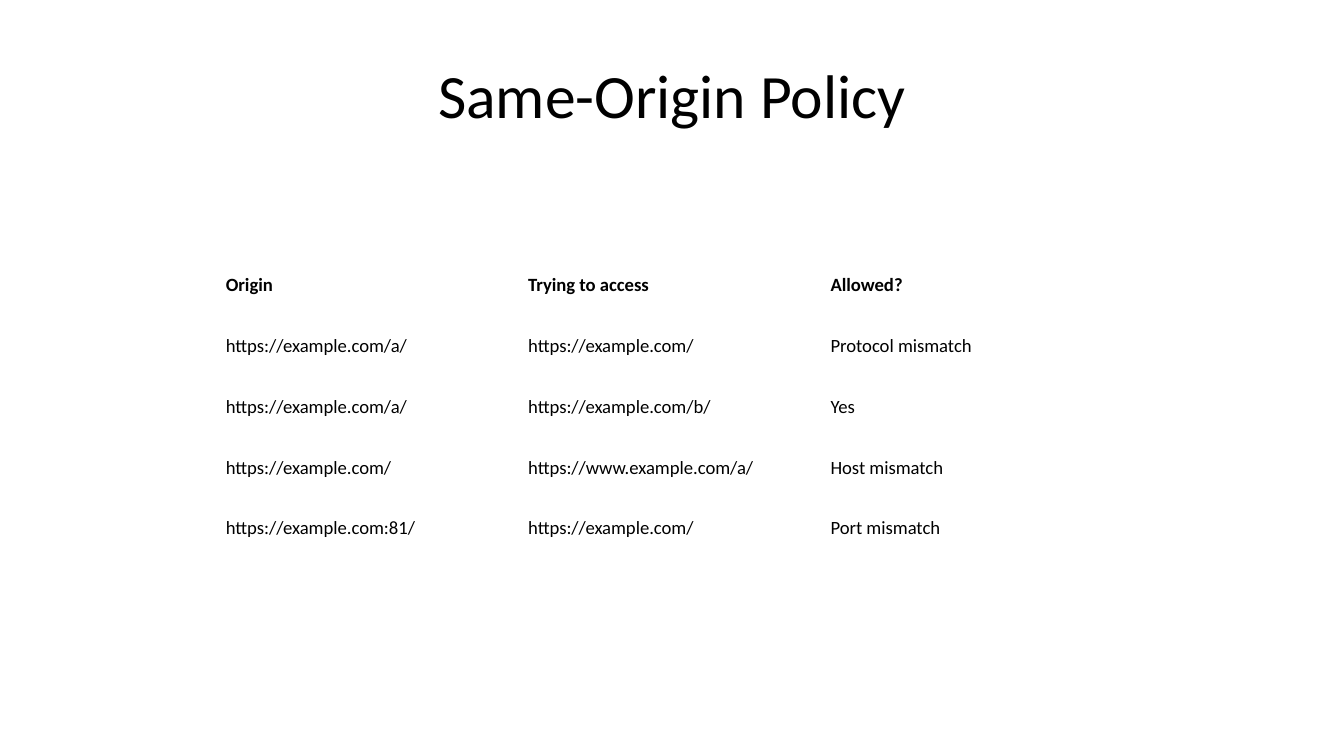
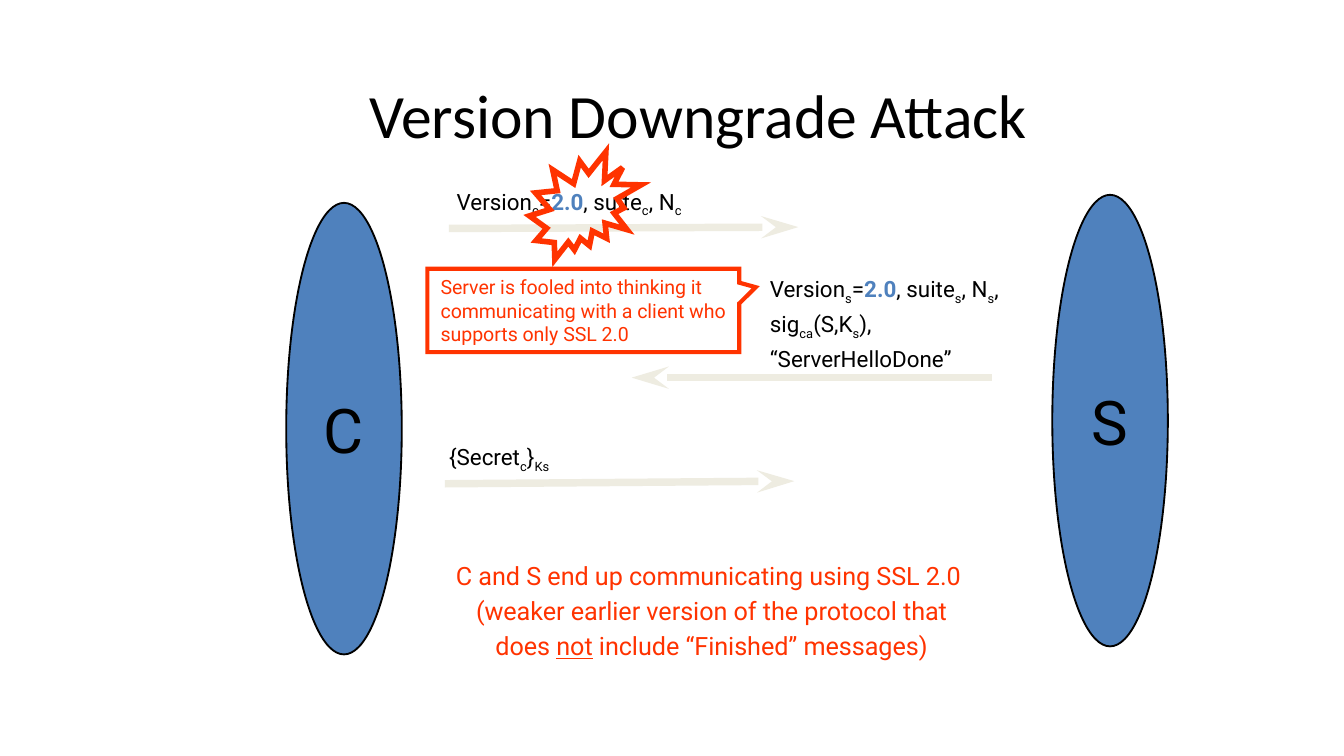
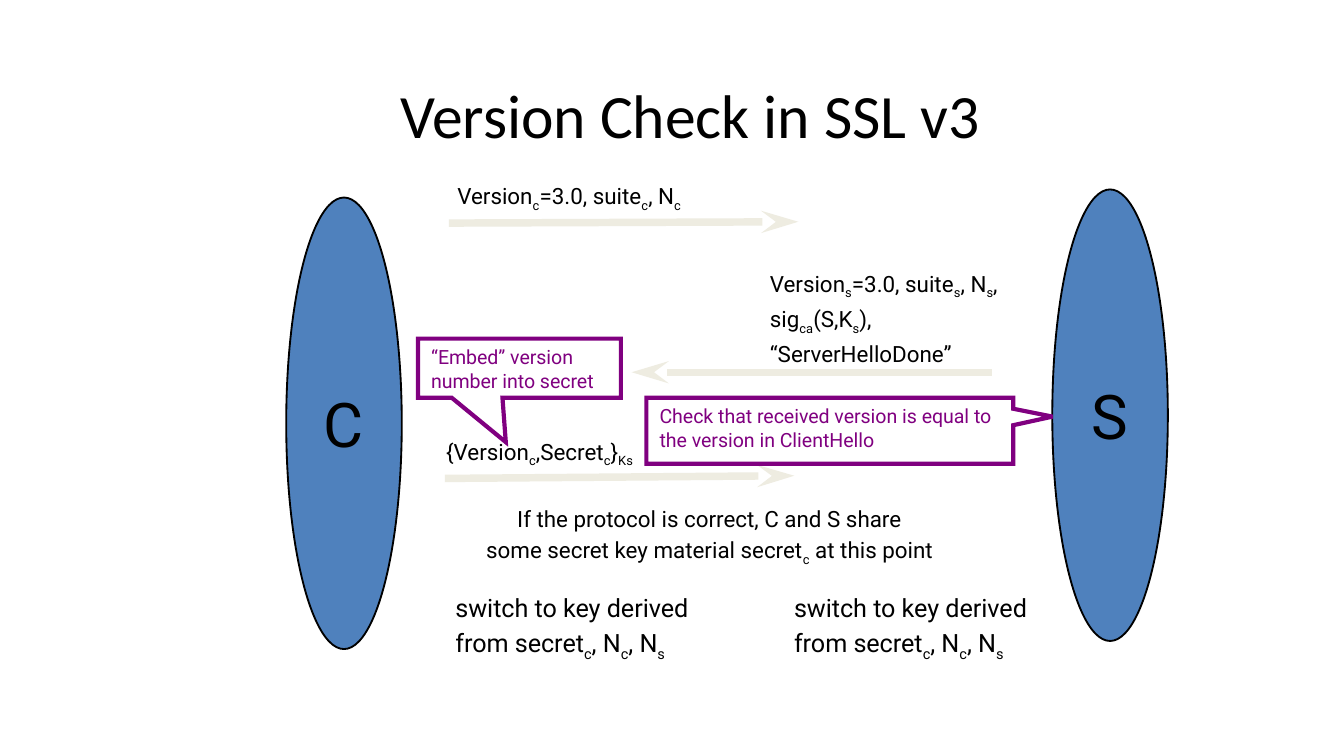
import pptx
import pptx.dml.color
import pptx.enum.shapes
import pptx.enum.text
import pptx.oxml
import pptx.oxml.ns
import pptx.util

Inches = pptx.util.Inches
Pt = pptx.util.Pt
SHAPE = pptx.enum.shapes.MSO_SHAPE
ALIGN = pptx.enum.text.PP_ALIGN
ANCHOR = pptx.enum.text.MSO_ANCHOR
AUTO_SIZE = pptx.enum.text.MSO_AUTO_SIZE

COLORS = {
    "text": "000000",
    "party": "4F81BD",
    "arrow": "EEECE1",
    "attack": "FF3300",
    "check": "800080",
    "border": "FFFFFF",
}
TITLE_FONT = "Calibri"
DIAGRAM_FONT = "Roboto"
# Marks that switch a run style on and off
MARKS = {"~": "subscript", "*": "strong", "^": "underline"}

ORIGIN_ROWS = [
    ["Origin", "Trying to access", "Allowed?"],
    ["https://example.com/a/", "https://example.com/", "Protocol mismatch"],
    ["https://example.com/a/", "https://example.com/b/", "Yes"],
    ["https://example.com/", "https://www.example.com/a/", "Host mismatch"],
    ["https://example.com:81/", "https://example.com/", "Port mismatch"],
]


def rgb(name):
    return pptx.dml.color.RGBColor.from_string(COLORS[name])


def drawing_element(markup):
    """Parse one element of the drawing namespace, given as 'tag attributes'."""
    return pptx.oxml.parse_xml(f'<a:{markup} {pptx.oxml.ns.nsdecls("a")}/>')


def split_runs(text):
    """Yield (text, active styles) for a line with MARKS in it."""
    active, piece = set(), ""
    for character in text:
        if character in MARKS:
            if piece:
                yield piece, set(active)
            active ^= {MARKS[character]}
            piece = ""
        else:
            piece += character
    if piece:
        yield piece, active


def write_text(frame, text, size=12, font=DIAGRAM_FONT, color="text", bold=False,
               align=ALIGN.LEFT, anchor=ANCHOR.TOP, wrap=True):
    frame.word_wrap = wrap
    frame.vertical_anchor = anchor
    for index, line in enumerate(text.split("\n")):
        paragraph = frame.add_paragraph() if index else frame.paragraphs[0]
        paragraph.alignment = align
        if index:
            paragraph.space_before = Pt(round(size * 0.2, 1))
        for piece, styles in split_runs(line):
            run = paragraph.add_run()
            run.text = piece
            run.font.name = font
            run.font.size = Pt(size)
            run.font.bold = bold or "strong" in styles
            run.font.underline = "underline" in styles
            run.font.color.rgb = rgb("party" if "strong" in styles else color)
            if "subscript" in styles:
                run._r.get_or_add_rPr().set("baseline", "-25000")


def add_titled_slide(presentation, title, left, top, width):
    slide = presentation.slides.add_slide(presentation.slide_layouts[5])
    shape = slide.shapes.title
    shape.left, shape.top = Inches(left), Inches(top)
    shape.width, shape.height = Inches(width), Inches(0.94)
    write_text(shape.text_frame, title, size=33, font=TITLE_FONT,
               align=ALIGN.CENTER, anchor=ANCHOR.MIDDLE)
    return slide


def add_label(slide, text, left, top, width, height, **text_format):
    box = slide.shapes.add_textbox(Inches(left), Inches(top), Inches(width), Inches(height))
    write_text(box.text_frame, text, wrap=False, **text_format)
    box.text_frame.auto_size = AUTO_SIZE.SHAPE_TO_FIT_TEXT


def add_outlined_shape(slide, kind, left, top, width, height, line, line_width, fill=None):
    shape = slide.shapes.add_shape(kind, Inches(left), Inches(top), Inches(width), Inches(height))
    shape.shadow.inherit = False
    if fill:
        shape.fill.solid()
        shape.fill.fore_color.rgb = rgb(fill)
    else:
        shape.fill.background()
    shape.line.color.rgb = rgb(line)
    shape.line.width = Pt(line_width)
    shape.line._get_or_add_ln().append(drawing_element('miter lim="800000"'))
    return shape


def add_party(slide, name, left, top):
    ellipse = add_outlined_shape(slide, SHAPE.OVAL, left, top, 0.86, 3.36, "text", 1, "party")
    write_text(ellipse.text_frame, name, size=33, align=ALIGN.CENTER,
               anchor=ANCHOR.MIDDLE, wrap=False)


def add_callout(slide, text, left, top, width, height, pointer, color):
    callout = add_outlined_shape(slide, SHAPE.RECTANGULAR_CALLOUT, left, top, width, height,
                                 color, 2.25)
    for index, value in enumerate(pointer):
        callout.adjustments[index] = value
    callout.text_frame.margin_right = Inches(0.08)
    write_text(callout.text_frame, text, size=10.5, color=color)


def add_arrow(slide, start_x, start_y, end_x, end_y):
    arrow = slide.shapes.add_connector(
        pptx.enum.shapes.MSO_CONNECTOR.STRAIGHT,
        Inches(start_x), Inches(start_y), Inches(end_x), Inches(end_y))
    arrow.line.color.rgb = rgb("arrow")
    arrow.line.width = Pt(4)
    arrow.line._get_or_add_ln().append(drawing_element('tailEnd type="stealth" len="lg"'))
    arrow._element.spPr.append(drawing_element("effectLst"))


def add_exchange(slide, left, top, version, secret, secret_width):
    """Client, server and the three messages between them."""
    add_party(slide, "C", left, top + 0.06)
    add_arrow(slide, left + 1.21, top + 0.25, left + 3.81, top + 0.24)
    add_arrow(slide, left + 5.25, top + 1.36, left + 2.57, top + 1.36)
    add_label(slide, f"Version~s~={version}, suite~s~, N~s~,\nsig~ca~(S,K~s~),\n“ServerHelloDone”",
              left + 3.5, top + 0.55, 2, 0.79)
    add_party(slide, "S", left + 5.7, top)
    add_label(slide, f"Version~c~={version}, suite~c~, N~c~",
              left + 1.13, top - 0.1, 1.95, 0.3, align=ALIGN.CENTER)
    add_arrow(slide, left + 1.18, top + 2.15, left + 3.78, top + 2.13)
    add_label(slide, secret, left + 1.07, top + 1.8, secret_width, 0.3, align=ALIGN.CENTER)


def format_cell(cell, text, bold):
    cell.margin_left = cell.margin_right = Inches(0.06)
    cell.margin_top = cell.margin_bottom = Inches(0.04)
    properties = cell._tc.get_or_add_tcPr()
    for side in "LRTB":
        properties.append(pptx.oxml.parse_xml(
            f'<a:ln{side} {pptx.oxml.ns.nsdecls("a")} w="12700"><a:solidFill>'
            f'<a:srgbClr val="{COLORS["border"]}"/></a:solidFill></a:ln{side}>'))
    cell.fill.background()
    write_text(cell.text_frame, text, size=10, font=TITLE_FONT, bold=bold)


def add_origin_table(slide, left, top, width, height):
    table = slide.shapes.add_table(
        len(ORIGIN_ROWS), len(ORIGIN_ROWS[0]),
        Inches(left), Inches(top), Inches(width), Inches(height)).table
    table.first_row = table.horz_banding = False
    for row_index, row in enumerate(ORIGIN_ROWS):
        for column_index, text in enumerate(row):
            format_cell(table.cell(row_index, column_index), text, bold=row_index == 0)


def build_policy_slide(presentation):
    slide = add_titled_slide(presentation, "Same-Origin Policy", 0.5, 0.23, 9)
    add_origin_table(slide, 1.62, 2, 6.75, 2.26)


def build_attack_slide(presentation):
    slide = add_titled_slide(presentation, "Version Downgrade Attack", 2.12, 0.38, 6.15)
    add_exchange(slide, 2.13, 1.45, "*2.0*", "{Secret~c~}~Ks~", 1.03)
    # Outcome
    add_label(slide, "C and S end up communicating using SSL 2.0 \n"
              "(weaker earlier version of the protocol that\n"
              "does ^not^ include “Finished” messages)",
              3.26, 4.12, 4.07, 0.87, size=13.5, color="attack", align=ALIGN.CENTER)
    # Tampering with the first message
    add_outlined_shape(slide, SHAPE.EXPLOSION2, 3.94, 1.13, 0.83, 0.8, "attack", 3)
    add_callout(slide, "Server is fooled into thinking it communicating with a client "
                "who supports only SSL 2.0", 3.18, 2, 2.32, 0.62, (0.553, -0.279), "attack")


def build_check_slide(presentation):
    slide = add_titled_slide(presentation, "Version Check in SSL v3", 2.06, 0.38, 6.15)
    add_exchange(slide, 2.13, 1.41, "3.0", "{Version~c~,Secret~c~}~Ks~", 1.63)
    add_label(slide, "If the protocol is correct, C and S share\n"
              "some secret key material secret~c~ at this point",
              3.5, 3.71, 3.56, 0.55, align=ALIGN.CENTER)
    # Version check
    add_callout(slide, "“Embed” version number into secret",
                3.11, 2.52, 1.51, 0.44, (-0.067, 1.25), "check")
    add_callout(slide, "Check that received version is equal to the version in ClientHello",
                4.81, 2.96, 2.73, 0.49, (0.607, -0.214), "check")
    # Key switch on both sides
    for left in (3.29, 5.81):
        add_label(slide, "switch to key derived\nfrom secret~c~, N~c~, N~s~",
                  left, 4.36, 1.98, 0.6, size=13.5)


def main():
    presentation = pptx.Presentation()
    # Widescreen, 16 to 9
    presentation.slide_width = Inches(10)
    presentation.slide_height = Inches(10) * 9 // 16
    build_policy_slide(presentation)
    build_attack_slide(presentation)
    build_check_slide(presentation)
    presentation.save("out.pptx")


if __name__ == "__main__":
    main()
